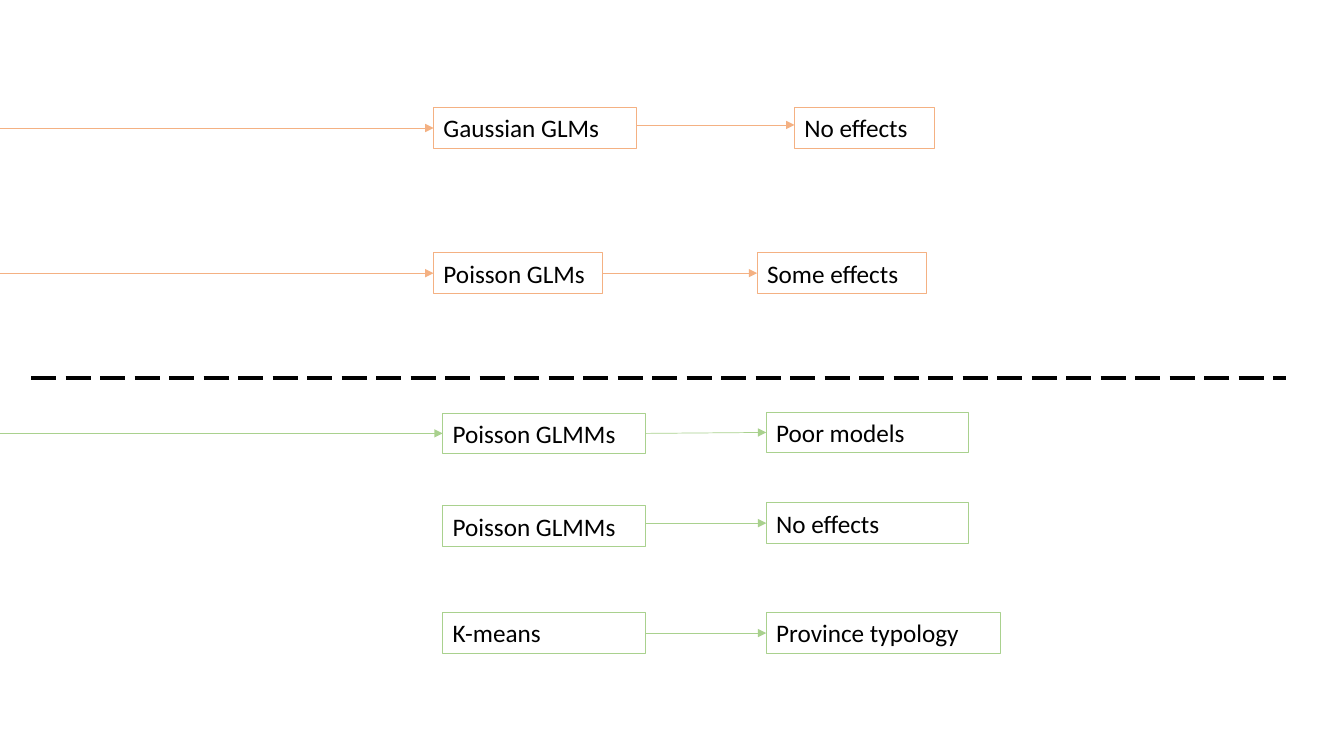
from dataclasses import dataclass

from lxml import etree
from pptx import Presentation
from pptx.dml.color import RGBColor
from pptx.enum.dml import MSO_LINE
from pptx.enum.shapes import MSO_CONNECTOR
from pptx.enum.text import MSO_AUTO_SIZE
from pptx.oxml.ns import qn
from pptx.util import Inches, Pt

STRAIGHT = MSO_CONNECTOR.STRAIGHT
LONG_DASH = MSO_LINE.LONG_DASH
FIT_SHAPE = MSO_AUTO_SIZE.SHAPE_TO_FIT_TEXT
LEFT, RIGHT = 1, 3  # connection sites
JOIN_TOLERANCE = 0.02


@dataclass(frozen=True)
class Theme:
    font: str = "Calibri"
    text_size: float = 18
    box_line: float = 0.75
    arrow_line: float = 0.5
    divider_line: float = 2.25
    black: RGBColor = RGBColor(0x00, 0x00, 0x00)
    orange: RGBColor = RGBColor(0xF4, 0xB1, 0x83)
    green: RGBColor = RGBColor(0xA9, 0xD1, 0x8E)


THEME = Theme()
BOX_HEIGHT = 0.4

# Each row: colour, arrow enters from the left edge, method box, result box, result arrow y
# Each box: text, left, top, width
ROWS = [
    (THEME.orange, True, ("Gaussian GLMs", 4.3, 1.07, 2.01), ("No effects", 7.88, 1.07, 1.39), 1.24),
    (THEME.orange, True, ("Poisson GLMs", 4.3, 2.51, 1.68), ("Some effects", 7.51, 2.51, 1.68), 2.72),
    (THEME.green, True, ("Poisson GLMMs", 4.39, 4.1, 2.01), ("Poor models", 7.6, 4.09, 2.01), 4.29),
    (THEME.green, False, ("Poisson GLMMs", 4.39, 5.02, 2.01), ("No effects", 7.6, 4.99, 2.01), 5.19),
    (THEME.green, False, ("K-means", 4.39, 6.08, 2.01), ("Province typology", 7.6, 6.08, 2.32), 6.27),
]


def add_box(slide, box, color):
    text, left, top, width = box
    sp = slide.shapes.add_textbox(Inches(left), Inches(top), Inches(width), Inches(BOX_HEIGHT))
    sp.line.color.rgb = color
    sp.line.width = Pt(THEME.box_line)
    tf = sp.text_frame
    tf.word_wrap = True
    tf.auto_size = FIT_SHAPE
    tf.text = text
    font = tf.paragraphs[0].runs[0].font
    font.name = THEME.font
    font.size = Pt(THEME.text_size)
    font.color.rgb = THEME.black
    return sp


def add_line(slide, x1, x2, y, color, width):
    line = slide.shapes.add_connector(STRAIGHT, Inches(x1), Inches(y), Inches(x2), Inches(y))
    line.line.color.rgb = color
    line.line.width = Pt(width)
    etree.SubElement(line._element.spPr, qn("a:effectLst"))
    return line


def add_arrow(slide, x1, x2, y, color):
    arrow = add_line(slide, x1, x2, y, color, THEME.arrow_line)
    etree.SubElement(arrow.line._get_or_add_ln(), qn("a:tailEnd"), type="triangle")
    return arrow


def meets_middle(box, y):
    return abs(box[2] + BOX_HEIGHT / 2 - y) <= JOIN_TOLERANCE


def add_row(slide, color, has_inflow, method, result, y):
    method_sp = add_box(slide, method, color)
    result_sp = add_box(slide, result, color)

    # Arrow from the slide edge to the method
    if has_inflow:
        inflow = add_arrow(slide, 0, method[1], method[2] + BOX_HEIGHT / 2, color)
        inflow.end_connect(method_sp, LEFT)

    # Arrow from the method to its result
    arrow = add_arrow(slide, method[1] + method[3], result[1], y, color)
    if meets_middle(method, y):
        arrow.begin_connect(method_sp, RIGHT)
    if meets_middle(result, y):
        arrow.end_connect(result_sp, LEFT)


def main():
    prs = Presentation()
    prs.slide_width, prs.slide_height = Inches(13.33), Inches(7.5)
    slide = prs.slides.add_slide(prs.slide_layouts[6])

    # Divider between the two groups of models
    divider = add_line(slide, 0.31, 12.75, 3.75, THEME.black, THEME.divider_line)
    divider.line.dash_style = LONG_DASH

    # Methods and their results
    for row in ROWS:
        add_row(slide, *row)

    prs.save("out.pptx")


if __name__ == "__main__":
    main()
